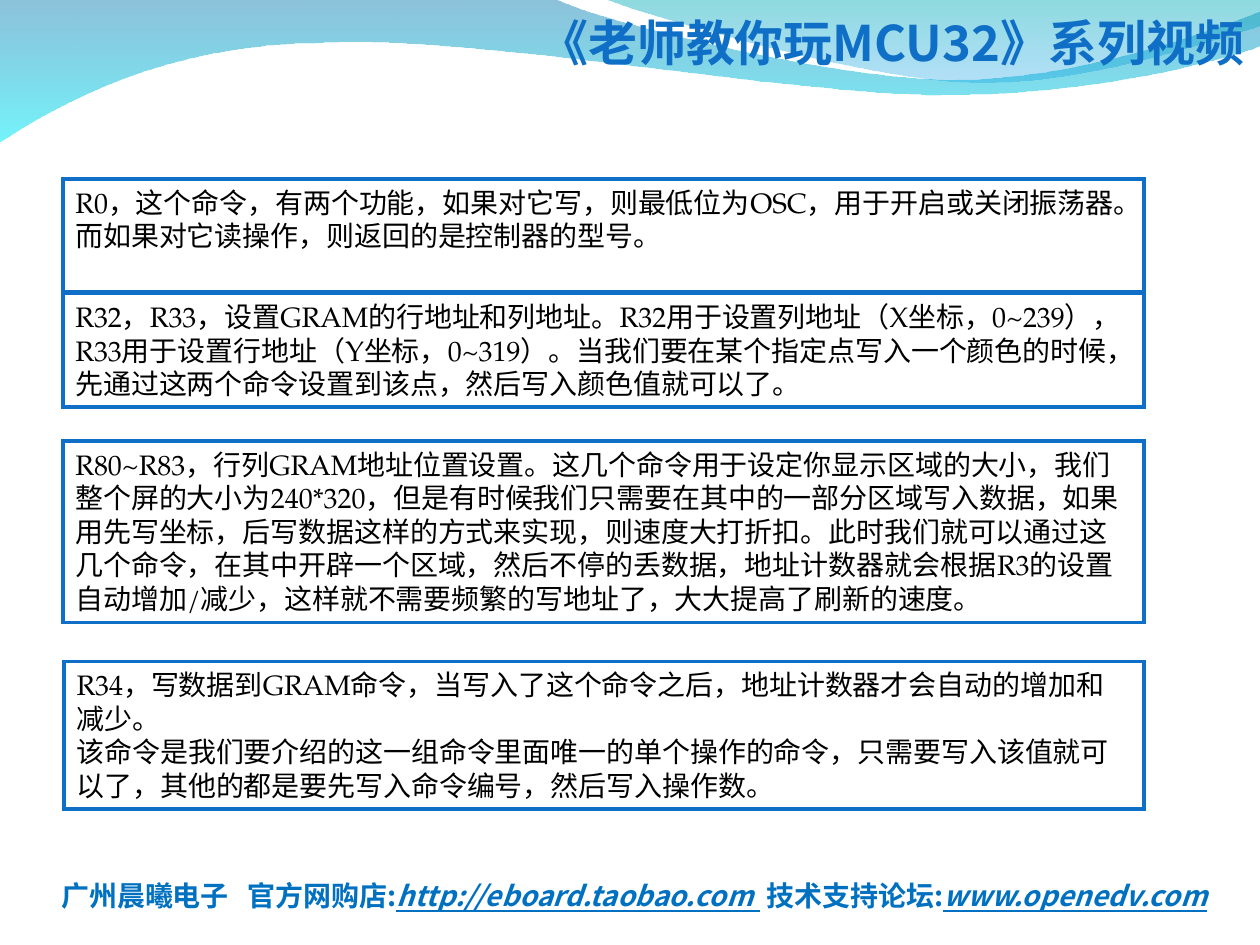
from lxml import etree
from pptx import Presentation
from pptx.dml.color import RGBColor
from pptx.enum.shapes import MSO_SHAPE
from pptx.enum.text import MSO_ANCHOR, PP_ALIGN
from pptx.oxml.ns import qn
from pptx.util import Inches, Pt

RECT = MSO_SHAPE.RECTANGLE
TOP, BOTTOM = MSO_ANCHOR.TOP, MSO_ANCHOR.BOTTOM
LEFT, CENTER = PP_ALIGN.LEFT, PP_ALIGN.CENTER
TITLE_ONLY = 5
SANS, SERIF = "Noto Sans CJK SC", "TeX Gyre Pagella"
BLUE, LINK_BLUE, BLACK, WHITE = "0F6FC6", "0070C0", "000000", "FFFFFF"
UNITS = 100  # outline units to the inch

# Waves: start point, then line ends (2 numbers) or cubic curves (6 numbers)
LEFT_WAVE = [
    (0, -0.01), (4.4, -0.01),
    (4.76, 0.17, 6.64, 0.63, 7.58, 0.63), (8.53, 0.63, 9.58, 0.26, 10, 0.09),
    (10.01, 0.36),
    (9.83, 0.44, 8.7, 0.76, 7.46, 0.75), (6.22, 0.75, 3.82, 0.28, 2.57, 0.34),
    (1.29, 0.35, 0.46, 0.83, -0.01, 1.13),
]
RIGHT_WAVE = [
    (4.79, -0.01),
    (5.09, 0.11, 6.82, 0.62, 7.69, 0.65), (8.56, 0.69, 9.61, 0.32, 10, 0.21),
    (10, 0),
]

# Command boxes: left, top, width, height, paragraphs
BOXES = [
    (0.5, 1.42, 8.58, 0.9, [
        "R0，这个命令，有两个功能，如果对它写，则最低位为OSC，用于开启或关闭振荡器。",
        "而如果对它读操作，则返回的是控制器的型号。"]),
    (0.5, 2.33, 8.58, 0.9, [
        "R32，R33，设置GRAM的行地址和列地址。R32用于设置列地址（X坐标，0~239），"
        "R33用于设置行地址（Y坐标，0~319）。当我们要在某个指定点写入一个颜色的时候，"
        "先通过这两个命令设置到该点，然后写入颜色值就可以了。"]),
    (0.51, 5.25, 8.57, 1.17, [
        "R34，写数据到GRAM命令，当写入了这个命令之后，地址计数器才会自动的增加和减少。",
        "该命令是我们要介绍的这一组命令里面唯一的单个操作的命令，只需要写入该值就可以了，"
        "其他的都是要先写入命令编号，然后写入操作数。"]),
    (0.5, 3.5, 8.58, 1.44, [
        "R80~R83，行列GRAM地址位置设置。这几个命令用于设定你显示区域的大小，"
        "我们整个屏的大小为240*320，但是有时候我们只需要在其中的一部分区域写入数据，"
        "如果用先写坐标，后写数据这样的方式来实现，则速度大打折扣。"
        "此时我们就可以通过这几个命令，在其中开辟一个区域，然后不停的丢数据，"
        "地址计数器就会根据R3的设置自动增加/减少，这样就不需要频繁的写地址了，"
        "大大提高了刷新的速度。"]),
]

# Footer runs: text, format, extra letter spacing in points
PLAIN, LINK = {}, {"italic": True, "underline": True}
FOOTER = [
    ("广州晨曦电子", PLAIN, 0),
    (" ", PLAIN, 7),
    ("官方网购店:", PLAIN, 0),
    ("http://eboard.taobao.com", LINK, 0),
    (" ", {"underline": True}, 4),
    ("技术支持论坛:", PLAIN, 0),
    ("www.openedv.com", LINK, 0),
]


def rgb(color):
    return RGBColor.from_string(color)


def set_frame(tf, anchor, margin_x=0.1, margin_y=0.05):
    frame = {"word_wrap": True, "vertical_anchor": anchor,
             "margin_left": Inches(margin_x), "margin_right": Inches(margin_x),
             "margin_top": Inches(margin_y), "margin_bottom": Inches(margin_y)}
    for name, value in frame.items():
        setattr(tf, name, value)


def write(p, runs, font, size, color, align=LEFT, bold=False):
    p.alignment = align
    p.line_spacing = Pt(size * 1.2)
    for text, extra, spacing in runs:
        r = p.add_run()
        r.text = text
        style = {"name": font, "size": Pt(size), "bold": bold, **extra}
        for name, value in style.items():
            setattr(r.font, name, value)
        r.font.color.rgb = rgb(color)
        etree.SubElement(r.font._element, qn("a:ea"), typeface=SANS)
        if spacing:
            r.font._element.set("spc", str(spacing * 100))


def add_wave(s, outline, stops):
    ends = [(x * UNITS, y * UNITS) for *_, x, y in outline]
    builder = s.shapes.build_freeform(*ends[0], scale=Inches(1) / UNITS)
    builder.add_line_segments(ends[1:], close=True)
    sp = builder.convert_to_shape()

    # Turn line segments into curves where control points are given
    x0, y0 = (min(values) for values in zip(*ends))
    segments = list(sp._element.iter(qn("a:lnTo")))
    for segment, (*controls, _, _) in zip(segments, outline[1:]):
        if controls:
            segment.tag = qn("a:cubicBezTo")
        for i, (x, y) in enumerate(zip(controls[::2], controls[1::2])):
            pt = etree.Element(qn("a:pt"), x=str(round(x * UNITS - x0)),
                               y=str(round(y * UNITS - y0)))
            segment.insert(i, pt)

    sp.shadow.inherit = False
    sp.line.fill.background()
    sp.fill.gradient()
    sp.fill.gradient_angle = 270
    for stop, (position, color, opacity) in zip(sp.fill.gradient_stops, stops):
        stop.position = position
        stop.color.rgb = rgb(color)
        value = stop._gs.find(qn("a:srgbClr"))
        etree.SubElement(value, qn("a:alpha"), val=str(opacity * 1000))


def add_title(s, text):
    sp = s.shapes.title
    sp.left, sp.top, sp.width, sp.height = map(Inches, (4.18, 0.05, 5.82, 0.57))
    set_frame(sp.text_frame, TOP)
    write(sp.text_frame.paragraphs[0], [(text, PLAIN, 0)], SANS, 28, BLUE, bold=True)


def add_box(s, left, top, width, height, paragraphs):
    sp = s.shapes.add_shape(RECT, *map(Inches, (left, top, width, height)))
    sp.shadow.inherit = False
    sp.fill.solid()
    sp.fill.fore_color.rgb = rgb(WHITE)
    sp.line.color.rgb = rgb(BLUE)
    sp.line.width = Pt(2)
    ln = sp._element.spPr.find(qn("a:ln"))
    etree.SubElement(ln, qn("a:miter"), lim="800000")
    tf = sp.text_frame
    set_frame(tf, TOP)
    for i, text in enumerate(paragraphs):
        p = tf.add_paragraph() if i else tf.paragraphs[0]
        write(p, [(text, PLAIN, 0)], SERIF, 16, BLACK)


def add_footer(s, runs):
    sp = s.shapes.add_textbox(*map(Inches, (0.25, 6.83, 9.57, 0.41)))
    set_frame(sp.text_frame, BOTTOM, 0, 0)
    write(sp.text_frame.paragraphs[0], runs, SANS, 16, LINK_BLUE, CENTER, bold=True)


def main():
    prs = Presentation()
    prs.slide_width, prs.slide_height = Inches(10), Inches(7.5)
    s = prs.slides.add_slide(prs.slide_layouts[TITLE_ONLY])

    # Header waves
    add_wave(s, LEFT_WAVE, [(0, "0079AF", 45), (1, "00EBF8", 55)])
    add_wave(s, RIGHT_WAVE, [(0, "00ADB6", 45), (1, "009BE5", 30)])

    # Contact line
    add_footer(s, FOOTER)

    # Title above the waves
    add_title(s, "《老师教你玩MCU32》系列视频")
    s.shapes._spTree.append(s.shapes.title._element)

    # Command descriptions
    for box in BOXES:
        add_box(s, *box)
    prs.save("out.pptx")


if __name__ == "__main__":
    main()
